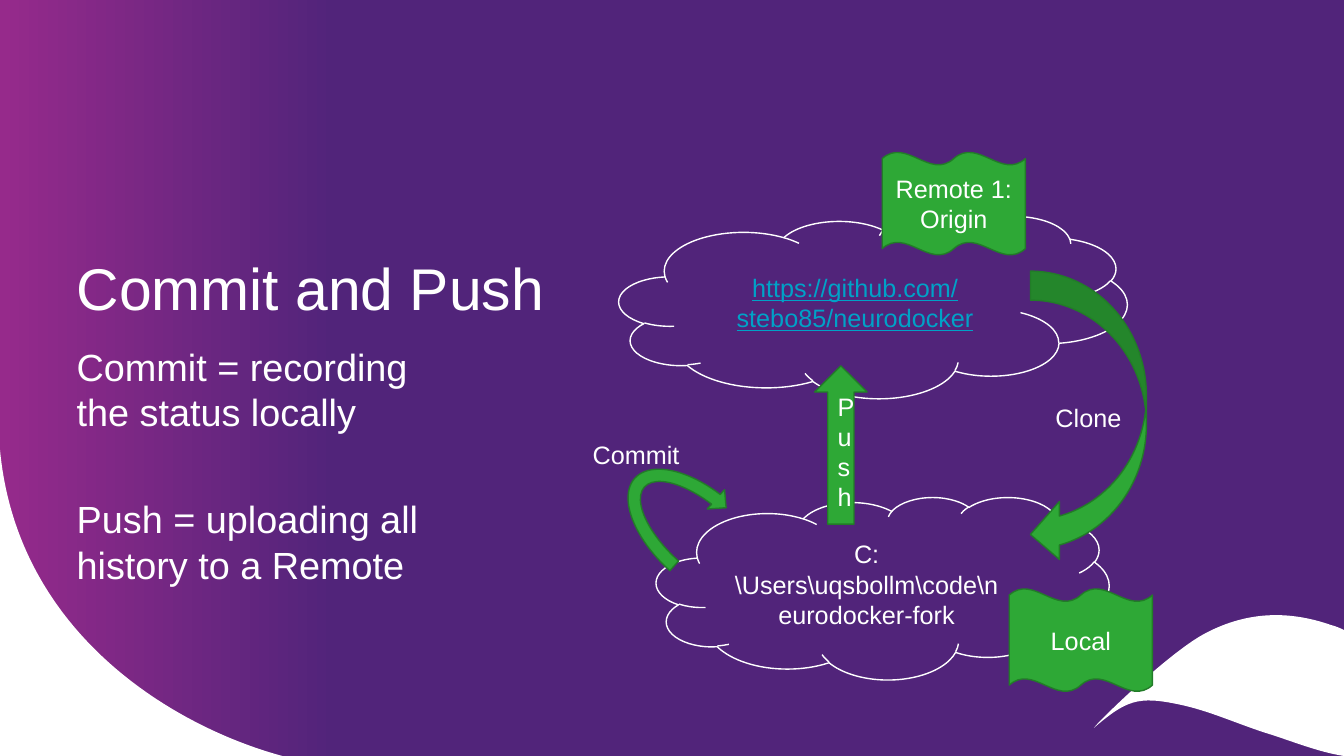
"""Build the "Commit and Push" slide with its remote and local repository diagram."""
from pptx import Presentation
from pptx.dml.color import RGBColor
from pptx.enum.shapes import MSO_SHAPE as Shape
from pptx.enum.text import MSO_ANCHOR as Anchor, MSO_AUTO_SIZE as AutoSize, PP_ALIGN as Align
from pptx.oxml.ns import qn
from pptx.util import Inches, Pt

COLORS = {"purple": "51247A", "magenta": "962A8B", "white": "FFFFFF",
          "green": "2EA836", "dark_green": "227C28", "blue": "00A2C7"}
COLORS = {name: RGBColor.from_string(value) for name, value in COLORS.items()}


def write_text(frame, paragraphs, size, color="white", underline=False, **paragraph_format):
    """Fill a text frame with equally formatted paragraphs."""
    frame.word_wrap = True
    font_format = {"name": "Arial", "size": Pt(size), "bold": False, "underline": underline}
    for index, text in enumerate(paragraphs):
        paragraph = frame.paragraphs[0] if index == 0 else frame.add_paragraph()
        run = paragraph.add_run()
        run.text = text
        for name, value in paragraph_format.items():
            setattr(paragraph, name, value)
        for name, value in font_format.items():
            setattr(run.font, name, value)
        run.font.color.rgb = COLORS[color]


def add_white_curve(slide, start, segments):
    """Draw a white outline of straight (2 values) and cubic (6 values) segments."""
    values = [value for segment in segments for value in segment]
    builder = slide.shapes.build_freeform(*map(Inches, start), scale=1.0)
    builder.add_line_segments(list(zip(map(Inches, values[::2]), map(Inches, values[1::2]))), close=True)
    shape = builder.convert_to_shape()
    lines = list(shape._element.iter(qn("a:lnTo")))
    for segment in segments:
        first, *others = [lines.pop(0) for _ in range(len(segment) // 2)]
        if others:
            cubic = first.makeelement(qn("a:cubicBezTo"), {})
            first.addprevious(cubic)
            for line in (first, *others):
                cubic.append(line[0])
                line.getparent().remove(line)
    shape.shadow.inherit = False
    shape.fill.solid()
    shape.fill.fore_color.rgb = COLORS["white"]
    shape.line.fill.background()


presentation = Presentation()
presentation.slide_width, presentation.slide_height = Inches(13.33), Inches(7.5)
slide = presentation.slides.add_slide(presentation.slide_layouts[1])

backdrop = slide.shapes.add_shape(Shape.RECTANGLE, 0, 0, Inches(13.33), Inches(7.5))
backdrop.shadow.inherit = False
backdrop.line.fill.background()
backdrop.fill.gradient()
backdrop.fill.gradient_angle = 180
for stop, (position, color) in zip(backdrop.fill.gradient_stops, [(0.75, "purple"), (1, "magenta")]):
    stop.position = position
    stop.color.rgb = COLORS[color]

add_white_curve(slide, (0, 7.5), [(0, 4.46), (0.17, 6.29, 1.73, 7.21, 2.8, 7.5)])
add_white_curve(slide, (13.33, 7.5), [
    (13.07, 7.46, 12.81, 7.35, 12.55, 7.27),
    (12.27, 7.18, 11.99, 7.05, 11.7, 6.99),
    (11.28, 6.9, 11.17, 6.95, 10.85, 7.22),
    (10.91, 7.14, 11.61, 6.46, 11.96, 6.28),
    (12.36, 6.07, 12.77, 6.05, 13.2, 6.2),
    (13.24, 6.21, 13.29, 6.23, 13.33, 6.25)])

title, body = slide.placeholders
for placeholder, box, anchor, paragraphs, size, spacing in [
        (title, (0.76, 1.86, 11.78, 1.34), Anchor.BOTTOM, ["Commit and Push"], 42, 50.4),
        (body, (0.76, 3.41, 3.83, 2.94), Anchor.TOP,
         ["Commit = recording the status locally", "Push = uploading all history to a Remote"], 27, 32.4)]:
    slide.shapes._spTree.append(placeholder._element)
    for name, value in zip(("left", "top", "width", "height"), box):
        setattr(placeholder, name, Inches(value))
    frame = placeholder.text_frame
    frame_format = {"margin_left": 0, "margin_top": 0, "margin_right": 0, "margin_bottom": 0,
                    "vertical_anchor": anchor, "auto_size": AutoSize.NONE}
    for name, value in frame_format.items():
        setattr(frame, name, value)
    write_text(frame, paragraphs, size, alignment=Align.LEFT, line_spacing=Pt(spacing),
               space_before=Pt(0), space_after=Pt(0))

for paragraph in body.text_frame.paragraphs:
    properties = paragraph._p.get_or_add_pPr()
    properties.set("marL", "0")
    properties.set("indent", "0")
    properties.append(properties.makeelement(qn("a:buNone"), {}))
body.text_frame.paragraphs[1].space_before = Pt(44)

cloud_style = ("purple", "white")
green_style = ("green", "dark_green")
diagram = [
    (Shape.CLOUD, (6.51, 4.93, 4.49, 1.81), cloud_style, r"C:\Users\uqsbollm\code\neurodocker-fork"),
    (Shape.CLOUD, (6.14, 2.14, 5.04, 1.81), cloud_style, "https://github.com/stebo85/neurodocker"),
    (Shape.DOUBLE_WAVE, (10.01, 5.84, 1.42, 1.02), green_style, "Local"),
    (Shape.DOUBLE_WAVE, (8.75, 1.51, 1.42, 1.02), green_style, "Remote 1: Origin"),
    (Shape.UP_ARROW, (8.08, 3.63, 0.52, 1.57), green_style, "Push"),
    (Shape.CURVED_LEFT_ARROW, (10.22, 2.69, 1.15, 2.9), green_style, "Clone"),
    (Shape.CIRCULAR_ARROW, (6.43, 4.39, 1.03, 1.87), green_style, ""),
]
for kind, box, (fill, line), text in diagram:
    shape = slide.shapes.add_shape(kind, *map(Inches, box))
    shape.shadow.inherit = False
    shape.fill.solid()
    shape.fill.fore_color.rgb = COLORS[fill]
    shape.line.color.rgb = COLORS[line]
    shape.line.width = Pt(1)
    if kind == Shape.CIRCULAR_ARROW:
        shape.rotation = 311.8
    if text:
        is_address = text.startswith("https")
        shape.text_frame.vertical_anchor = Anchor.MIDDLE
        write_text(shape.text_frame, [text], 18, "blue" if is_address else "white",
                   is_address, alignment=Align.CENTER)

commit_label = slide.shapes.add_textbox(*map(Inches, (5.78, 4.31, 1.16, 0.4)))
write_text(commit_label.text_frame, ["Commit"], 18)
commit_label.text_frame.auto_size = AutoSize.SHAPE_TO_FIT_TEXT

presentation.save("out.pptx")
